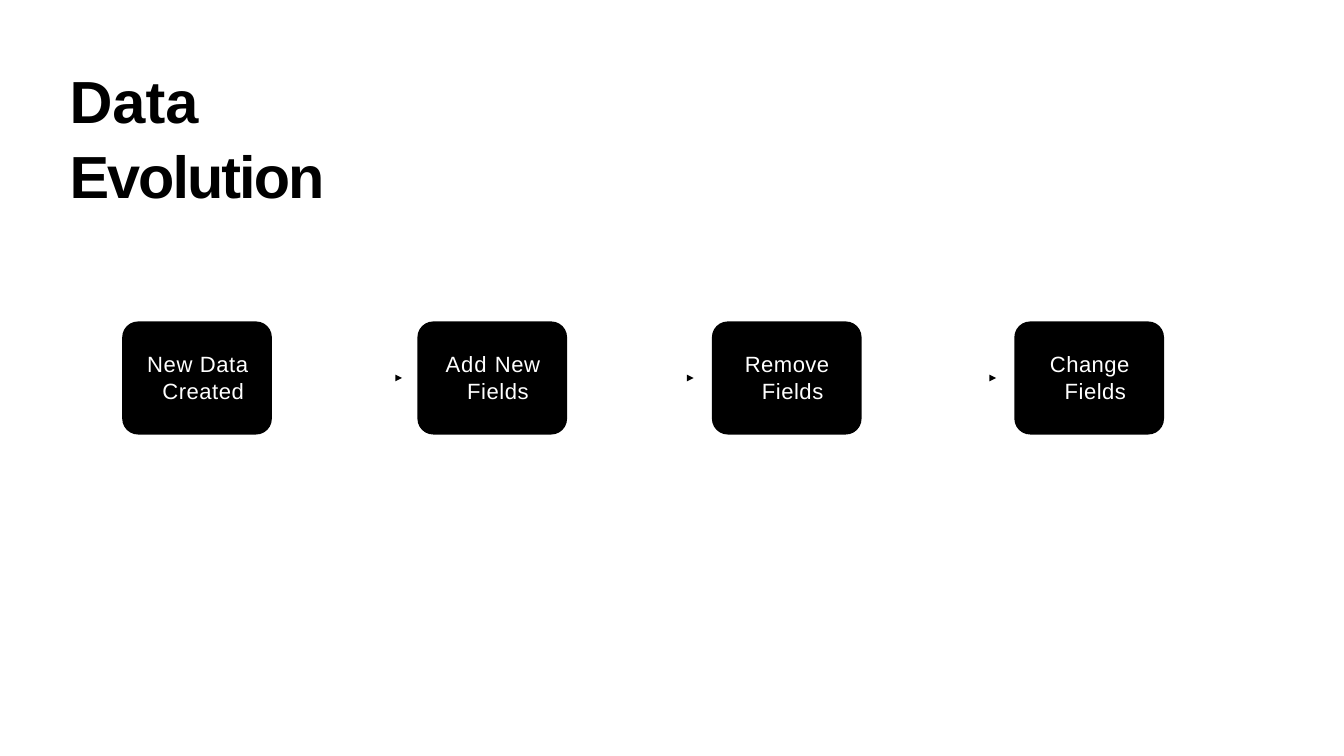
"""Build the Data Evolution slide: four stages joined by arrowheads."""
from dataclasses import dataclass
from typing import Optional

from pptx import Presentation
from pptx.dml.color import RGBColor
from pptx.enum.shapes import MSO_SHAPE
from pptx.shapes.autoshape import Shape
from pptx.slide import Slide
from pptx.util import Cm, Pt

BLACK, WHITE = "000000", "FFFFFF"
BOX_TOP, BOX_W, BOX_H = 13.36, 6.22, 4.7
LABEL_TOP, LABEL_H, FIRST_LINE = 14.5, 2.31, 0.05
ARROW_TOP, ARROW_SIZE = 15.57, 0.28


@dataclass(frozen=True)
class TextRun:
    text: str
    spacing: float


@dataclass(frozen=True)
class Stage:
    runs: tuple[TextRun, ...]
    left: float
    label_left: float
    label_width: float
    hang: float
    arrow_left: Optional[float] = None


STAGES = (
    Stage((TextRun("New ", 0.7), TextRun("Data Created", 0.6)),
          5.08, 6.07, 4.35, 0.68),
    Stage((TextRun("Add ", 1.1), TextRun("New ", 0.7), TextRun("Fields", 0.6)),
          17.35, 18.47, 4.01, 0.95, 16.43),
    Stage((TextRun("Remove ", 0.5), TextRun("Fields", 0.6)),
          29.59, 30.91, 3.61, 0.76, 28.55),
    Stage((TextRun("Change ", 0.5), TextRun("Fields", 0.6)),
          42.16, 43.59, 3.4, 0.66, 41.12),
)
TITLE = (TextRun("Data ", 0.2), TextRun("Evolution", -2.3))


def rgb(value: str) -> RGBColor:
    """Return the colour for a hex string."""
    return RGBColor.from_string(value)


def paint(sp: Shape, color: str) -> None:
    """Give a shape a plain fill with no line or shadow."""
    sp.shadow.inherit = False
    sp.fill.solid()
    sp.fill.fore_color.rgb = rgb(color)
    sp.line.fill.background()


def add_text(s: Slide, runs: tuple[TextRun, ...], left: float, top: float,
             width: float, height: float, size: float, color: str,
             line_spacing: float, before: float, bold: bool = False,
             hang: float = FIRST_LINE) -> None:
    """Add a wrapped text box with letter spacing and a hanging indent."""
    tf = s.shapes.add_textbox(Cm(left), Cm(top), Cm(width), Cm(height)).text_frame
    tf.word_wrap = True
    tf.margin_left = tf.margin_right = tf.margin_bottom = 0
    tf.margin_top = Cm(0.03)
    p = tf.paragraphs[0]
    p.line_spacing, p.space_before = line_spacing, Pt(before)
    p.font.name, p.font.size, p.font.bold = "Arial", Pt(size), bold
    p.font.color.rgb = rgb(color)
    pPr = p._p.get_or_add_pPr()
    pPr.set("marL", str(Cm(hang)))
    pPr.set("indent", str(Cm(FIRST_LINE - hang)))
    for run in runs:
        r = p.add_run()
        r.text = run.text
        r._r.get_or_add_rPr().set("spc", str(round(run.spacing * 100)))


def add_arrowhead(s: Slide, left: float) -> None:
    """Add a small triangle pointing right."""
    x, y, size = Cm(left), Cm(ARROW_TOP), Cm(ARROW_SIZE)
    outline = s.shapes.build_freeform(x, y)
    outline.add_line_segments([(x, y + size), (x + size, y + size // 2)])
    paint(outline.convert_to_shape(), BLACK)


def add_stage(s: Slide, stage: Stage) -> None:
    """Add a stage box, its label and the arrowhead leading to it."""
    if stage.arrow_left is not None:
        add_arrowhead(s, stage.arrow_left)
    sp = s.shapes.add_shape(MSO_SHAPE.ROUNDED_RECTANGLE, Cm(stage.left),
                            Cm(BOX_TOP), Cm(BOX_W), Cm(BOX_H))
    sp.adjustments[0] = 0.14
    paint(sp, BLACK)
    add_text(s, stage.runs, stage.label_left, LABEL_TOP, stage.label_width,
             LABEL_H, 26, WHITE, 1.03, 0.4, hang=stage.hang)


def main() -> None:
    """Build and save the slide."""
    prs = Presentation()
    prs.slide_width, prs.slide_height = Cm(55.86), Cm(31.42)
    s = prs.slides.add_slide(prs.slide_layouts[6])
    add_text(s, TITLE, 2.84, 2.5, 15.5, 3.05, 70, BLACK, 1.05, 1.1, bold=True)
    for stage in STAGES:
        add_stage(s, stage)
    prs.save("out.pptx")


if __name__ == "__main__":
    main()
